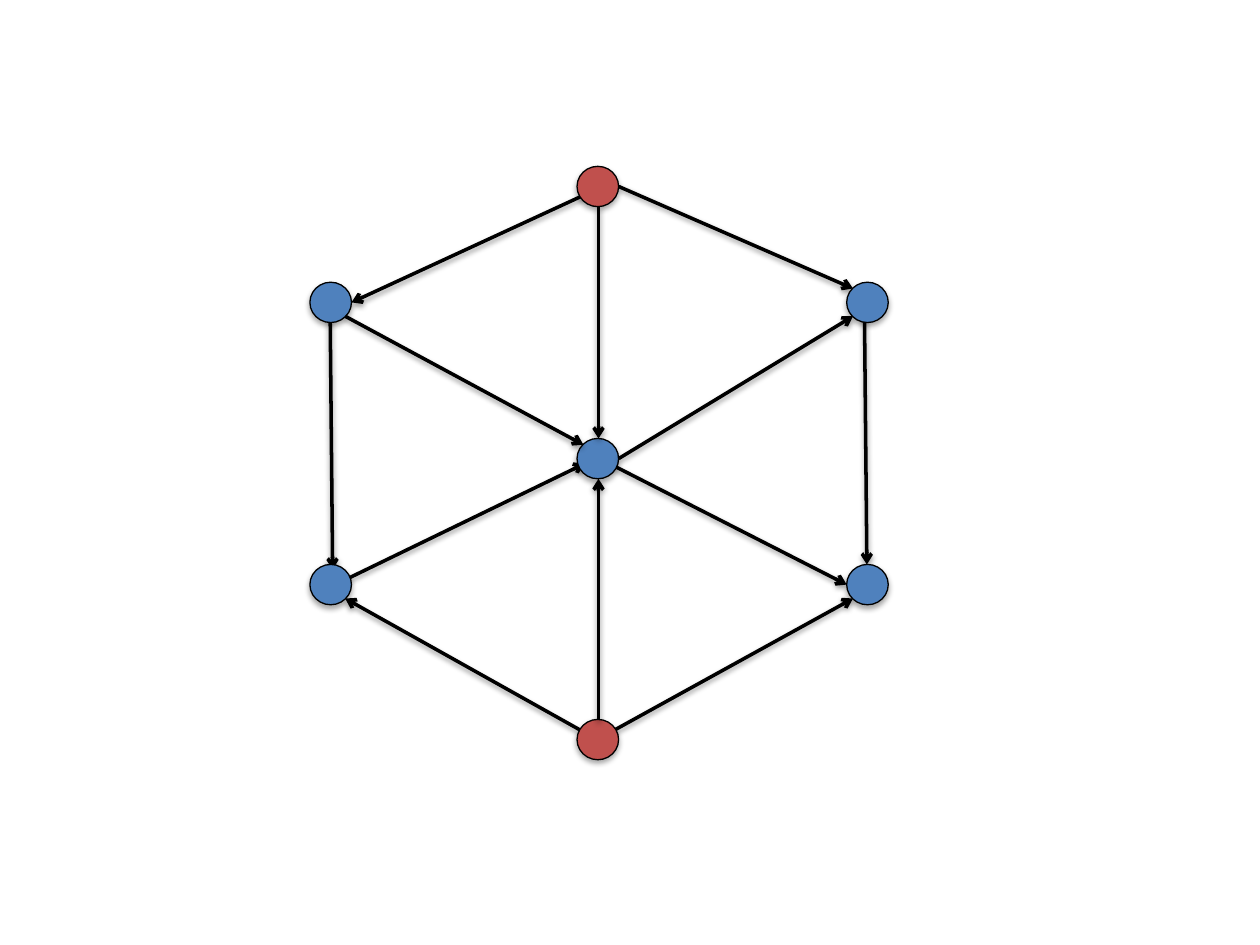
import pptx
import pptx.dml.color
import pptx.enum.shapes
import pptx.oxml
import pptx.oxml.ns
import pptx.util
from pptx.util import Inches

COLORS = {"blue": "4F81BD", "red": "C0504D", "black": "000000"}
NODE_WIDTH, NODE_HEIGHT = 0.33, 0.32
LEFT, CENTER, RIGHT = 2.46, 4.58, 6.72
TOP, UPPER, MIDDLE, LOWER, BOTTOM = 1.32, 2.24, 3.48, 4.48, 5.71

# Each arrow: start x, start y, end x, end y
arrows_behind = [
    (4.74, 3.63, 6.72, 4.64),
    (2.64, 4.65, 4.64, 3.68),
    (4.74, 5.87, 2.74, 4.75),
    (4.74, 5.87, 6.77, 4.75),
    (4.91, 1.48, 6.77, 2.29),
    (6.86, 2.40, 6.88, 4.48),
    (2.62, 2.44, 2.64, 4.52),
    (4.74, 1.50, 2.79, 2.40),
]
nodes = [
    (LEFT, UPPER, "blue"),
    (CENTER, MIDDLE, "blue"),
    (CENTER, BOTTOM, "red"),
    (CENTER, TOP, "red"),
    (RIGHT, UPPER, "blue"),
    (RIGHT, LOWER, "blue"),
    (LEFT, LOWER, "blue"),
]
arrows_in_front = [
    (4.75, 1.64, 4.75, 3.48),
    (2.74, 2.51, 4.63, 3.53),
    (4.91, 3.64, 6.77, 2.51),
    (4.75, 5.71, 4.75, 3.80),
]


def style_outline(item, width, distance, opacity):
    """Give a shape or connector a black line and a soft shadow below it."""
    item.line.color.rgb = pptx.dml.color.RGBColor.from_string(COLORS["black"])
    item.line.width = pptx.util.Pt(width)
    item._element.spPr.append(pptx.oxml.parse_xml(
        f'<a:effectLst {pptx.oxml.ns.nsdecls("a")}>'
        f'<a:outerShdw blurRad="{pptx.util.Pt(3.15)}" dist="{pptx.util.Pt(distance)}" '
        'dir="5400000" rotWithShape="0">'
        f'<a:srgbClr val="{COLORS["black"]}"><a:alpha val="{opacity * 1000}"/></a:srgbClr>'
        '</a:outerShdw></a:effectLst>'))


def add_arrows(page, arrows):
    """Draw straight arrows with an open head at their end point."""
    for ends in arrows:
        arrow = page.shapes.add_connector(
            pptx.enum.shapes.MSO_CONNECTOR.STRAIGHT, *map(Inches, ends))
        style_outline(arrow, 2, 1.57, 38)
        arrow.line._get_or_add_ln().append(pptx.oxml.parse_xml(
            f'<a:tailEnd {pptx.oxml.ns.nsdecls("a")} type="arrow"/>'))


deck = pptx.Presentation()
deck.slide_width, deck.slide_height = Inches(10), Inches(7.5)
page = deck.slides.add_slide(deck.slide_layouts[6])

add_arrows(page, arrows_behind)
for left, top, color in nodes:
    node = page.shapes.add_shape(
        pptx.enum.shapes.MSO_SHAPE.OVAL,
        *map(Inches, (left, top, NODE_WIDTH, NODE_HEIGHT)))
    node.fill.solid()
    node.fill.fore_color.rgb = pptx.dml.color.RGBColor.from_string(COLORS[color])
    style_outline(node, 0.75, 1.81, 35)
add_arrows(page, arrows_in_front)

deck.save("out.pptx")
